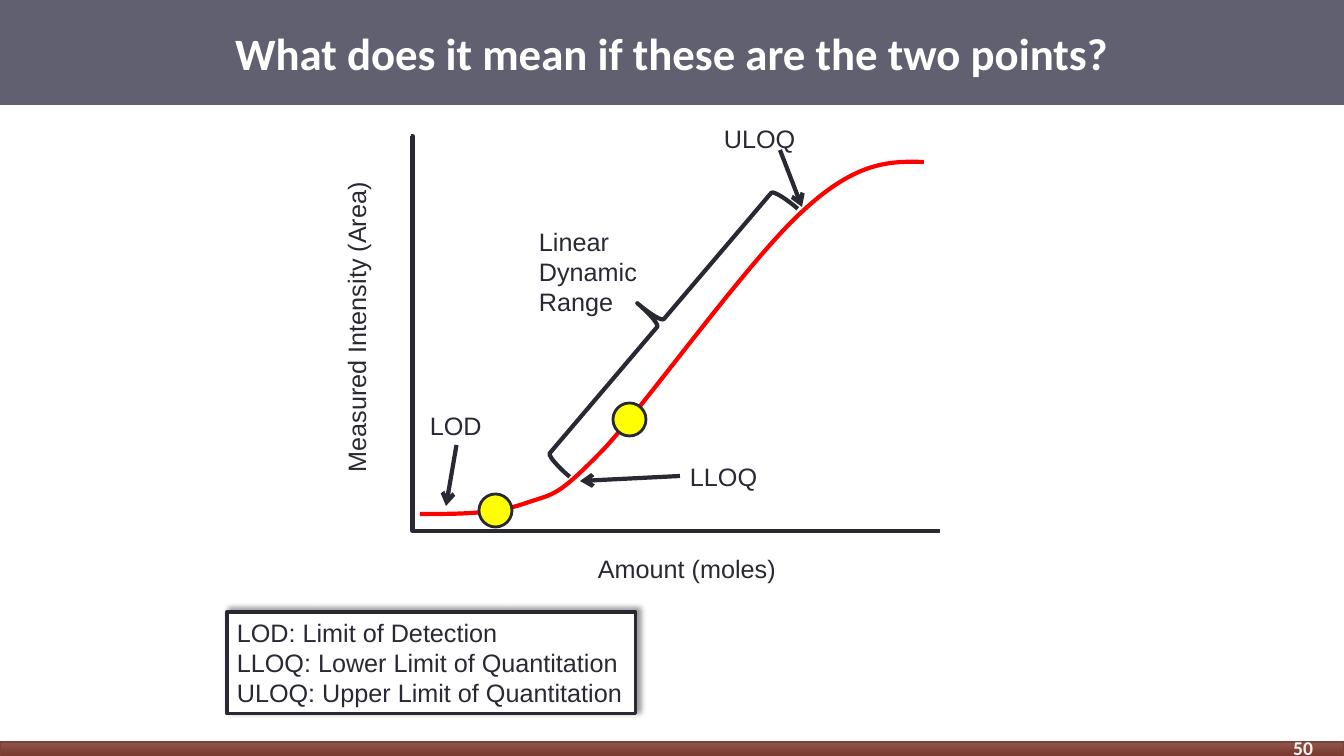
from lxml.etree import SubElement
from pptx import Presentation
from pptx.dml.color import RGBColor
from pptx.enum.dml import MSO_THEME_COLOR
from pptx.enum.shapes import MSO_CONNECTOR, MSO_SHAPE
from pptx.enum.text import MSO_ANCHOR, MSO_AUTO_SIZE, PP_ALIGN
from pptx.oxml.ns import qn
from pptx.util import Emu, Pt

PX = 914400 / 100.8
WIDTH, HEIGHT = 1344, 756
INK, RED, YELLOW, WHITE = "292934", "FF0000", "FFFF00", "FFFFFF"
CURVE_START = (420, 514)
CURVE_POINTS = [
    (459, 514), (496, 514), (526, 503),
    (556, 493), (557, 497), (604, 449),
    (650, 399), (751, 257), (804, 210),
    (857, 161), (891, 161), (924, 162),
]


def px(*lengths):
    return [Emu(round(length * PX)) for length in lengths]


def color(hex_string):
    return RGBColor.from_string(hex_string)


def set_line(shape, hex_string, points):
    shape.line.color.rgb = color(hex_string)
    shape.line.width = Pt(points)


def set_text(shape, lines, size=18, font="Arial", hex_string=INK, bold=False,
             align=PP_ALIGN.LEFT, anchor=MSO_ANCHOR.TOP, wrap=False, grow=True):
    frame = shape.text_frame
    frame.text = "\n".join(lines)
    frame.word_wrap = wrap
    frame.vertical_anchor = anchor
    frame.auto_size = MSO_AUTO_SIZE.SHAPE_TO_FIT_TEXT if grow else MSO_AUTO_SIZE.NONE
    for paragraph in frame.paragraphs:
        paragraph.alignment = align
        for run in paragraph.runs:
            run.font.size = Pt(size)
            run.font.name = font
            run.font.bold = bold
            run.font.color.rgb = color(hex_string)


def add_label(slide, box, text, rotation=0, **style):
    label = slide.shapes.add_textbox(*px(*box))
    set_text(label, [text], **style)
    label.rotation = rotation
    return label


def add_box(slide, kind, box, fill=None, line=None, points=1):
    shape = slide.shapes.add_shape(kind, *px(*box))
    shape.shadow.inherit = False
    if fill:
        shape.fill.solid()
        shape.fill.fore_color.rgb = color(fill)
    else:
        shape.fill.background()
    if line:
        set_line(shape, line, points)
    else:
        shape.line.fill.background()
    return shape


def add_line(slide, kind, start, end):
    connector = slide.shapes.add_connector(kind, *px(*start, *end))
    set_line(connector, INK, 3)
    SubElement(connector._element.spPr, qn("a:effectLst"))
    return connector


def add_arrow(slide, start, end, label=None, side=None):
    """Draw an arrow, joined to the given side of a label if there is one."""
    arrow = add_line(slide, MSO_CONNECTOR.STRAIGHT, start, end)
    SubElement(arrow.line._get_or_add_ln(), qn("a:tailEnd"), type="arrow")
    if label is not None:
        arrow.begin_connect(label, side)


def add_axes(slide):
    """Draw both axes as one elbow that turns close to its start."""
    axes = add_line(slide, MSO_CONNECTOR.ELBOW, (411, 136), (940, 531))
    adjustments = axes._element.spPr.find(qn("a:prstGeom")).find(qn("a:avLst"))
    SubElement(adjustments, qn("a:gd"), name="adj1", fmla="val 300")


def add_curve(slide):
    """Draw the response curve, turning each three points into a Bézier segment."""
    builder = slide.shapes.build_freeform(*CURVE_START, scale=PX)
    builder.add_line_segments(CURVE_POINTS, close=False)
    curve = builder.convert_to_shape()
    curve.shadow.inherit = False
    curve.fill.background()
    set_line(curve, RED, 3)
    path = next(curve._element.iter(qn("a:path")))
    segments = path.findall(qn("a:lnTo"))
    for first in range(0, len(segments), 3):
        bezier = SubElement(path, qn("a:cubicBezTo"))
        for segment in segments[first:first + 3]:
            bezier.append(segment[0])
            path.remove(segment)


def add_shadow(shape):
    effects = shape._element.spPr.find(qn("a:effectLst"))
    shadow = SubElement(effects, qn("a:outerShdw"), blurRad=str(Pt(4)), dist=str(Pt(3)),
                        dir=str(315 * 60000), algn="bl", rotWithShape="0")
    black = SubElement(shadow, qn("a:srgbClr"), val="000000")
    SubElement(black, qn("a:alpha"), val="40000")


def add_frame(slide):
    """Add the title band, the footer band and their text."""
    title_box = (0, 0, WIDTH, 105)
    band = add_box(slide, MSO_SHAPE.RECTANGLE, title_box, "454557")
    fill_color = next(band._element.spPr.iter(qn("a:srgbClr")))
    SubElement(fill_color, qn("a:alpha"), val="85000")

    footer = add_box(slide, MSO_SHAPE.RECTANGLE, (0, 742, WIDTH, 17), line="78433A")
    footer.fill.gradient()
    footer.fill.gradient_angle = 90
    for stop, hex_string in zip(footer.fill.gradient_stops, ("743327", "8F554C")):
        stop.color.theme_color = MSO_THEME_COLOR.ACCENT_1
        stop.color.rgb = color(hex_string)

    style = dict(font="Calibri", bold=True, anchor=MSO_ANCHOR.MIDDLE, wrap=True, grow=False)
    add_label(slide, title_box, "What does it mean if these are the two points?",
              size=32, hex_string=WHITE, align=PP_ALIGN.CENTER, **style)
    add_label(slide, (1210, 728, 113, 39), "50",
              size=14, hex_string="F2F2F2", align=PP_ALIGN.RIGHT, **style)


def add_graph(slide):
    add_axes(slide)
    add_curve(slide)
    add_label(slide, (588, 548, 200, 40), "Amount (moles)")
    add_label(slide, (200, 306, 312, 40), "Measured Intensity (Area)", rotation=270)

    detection = add_label(slide, (420, 405, 73, 40), "LOD")
    add_arrow(slide, (457, 445), (446, 506), detection, 2)
    lower = add_label(slide, (680, 456, 89, 40), "LLOQ")
    add_arrow(slide, (680, 476), (580, 481), lower, 1)
    add_label(slide, (714, 118, 93, 40), "ULOQ")
    add_arrow(slide, (780, 150), (802, 207))

    brace = add_box(slide, MSO_SHAPE.LEFT_BRACE, (630, 147, 61, 352), line=INK, points=3)
    brace.rotation = 40.4
    add_label(slide, (529, 221, 126, 102), "Linear Dynamic Range", wrap=True)


def add_legend(slide):
    legend = add_box(slide, MSO_SHAPE.RECTANGLE, (227, 612, 409, 102), WHITE, INK, 2.25)
    add_shadow(legend)
    set_text(legend, [
        "LOD: Limit of Detection",
        "LLOQ: Lower Limit of Quantitation",
        "ULOQ: Upper Limit of Quantitation",
    ])


def main():
    presentation = Presentation()
    presentation.slide_width, presentation.slide_height = px(WIDTH, HEIGHT)
    slide = presentation.slides.add_slide(presentation.slide_layouts[6])
    add_frame(slide)
    add_graph(slide)
    add_legend(slide)
    for left, top in ((479, 494), (613, 403)):
        add_box(slide, MSO_SHAPE.OVAL, (left, top, 33, 33), YELLOW, INK, 2)
    presentation.save("out.pptx")


if __name__ == "__main__":
    main()
